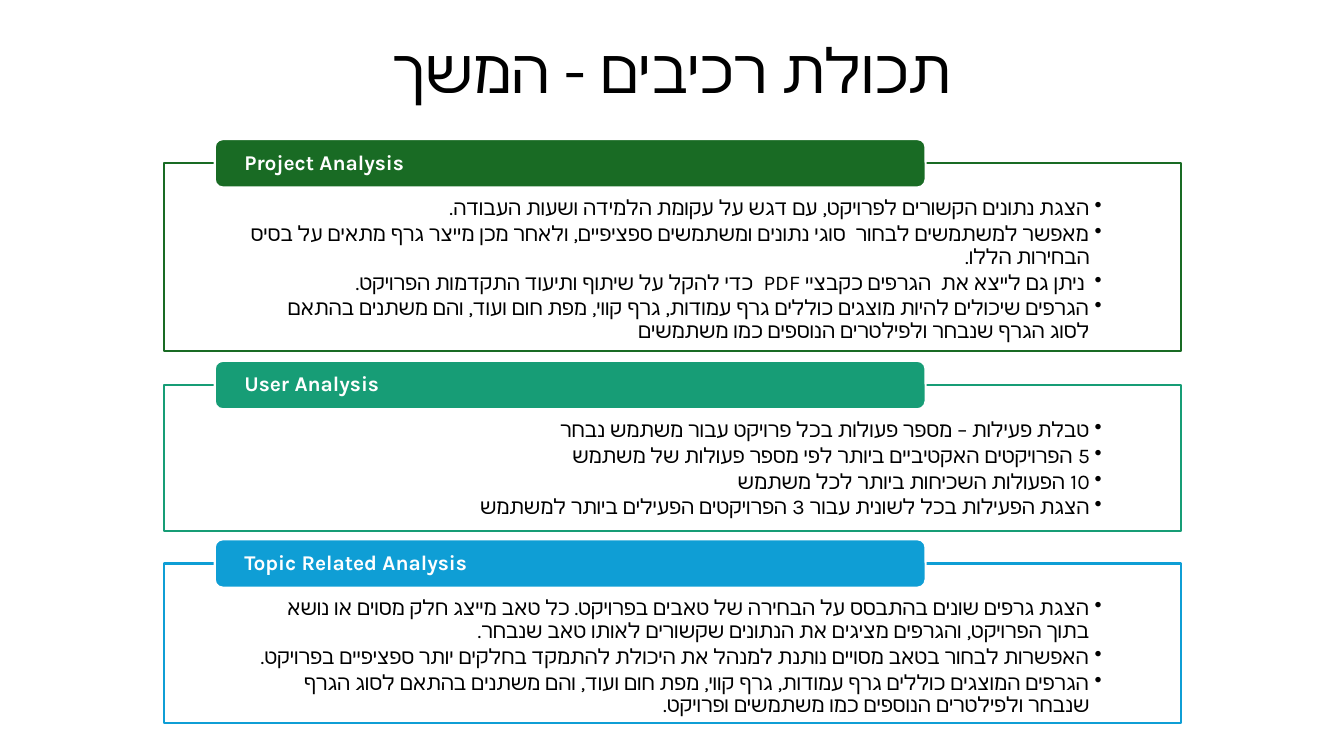
"""Build the slide describing the three analysis components."""
from dataclasses import dataclass

from lxml.etree import SubElement
from pptx import Presentation
from pptx.dml.color import RGBColor
from pptx.enum.shapes import MSO_SHAPE
from pptx.enum.text import MSO_ANCHOR, MSO_AUTO_SIZE, PP_ALIGN
from pptx.oxml.ns import qn
from pptx.util import Inches, Pt


@dataclass(frozen=True)
class Theme:
    font: str = "Karla"
    title_size: int = 44
    text_size: int = 15
    line_width: float = 1.5
    line_spacing: float = 0.9
    black: str = "000000"
    white: str = "FFFFFF"
    green: str = "196B24"
    teal: str = "179D76"
    blue: str = "0F9ED5"


@dataclass(frozen=True)
class Section:
    heading: str
    color: str
    top: float
    height: float
    bullets: tuple[str, ...]


THEME = Theme()
PANEL_LEFT, PANEL_WIDTH = 1.63, 10.08
HEADER_LEFT, HEADER_WIDTH, HEADER_HEIGHT, HEADER_RISE = 2.13, 7.05, 0.48, 0.24
BULLET_INDENT = 0.12

SECTIONS = (
    Section("Project Analysis", THEME.green, 1.62, 1.86, (
        "הצגת נתונים הקשורים לפרויקט, עם דגש על עקומת הלמידה ושעות העבודה. ",
        "מאפשר למשתמשים לבחור  סוגי נתונים ומשתמשים ספציפיים, ולאחר מכן מייצר גרף מתאים על בסיס הבחירות הללו.",
        " ניתן גם לייצא את  הגרפים כקבציי PDF  כדי להקל על שיתוף ותיעוד התקדמות הפרויקט.",
        "הגרפים שיכולים להיות מוצגים כוללים גרף עמודות, גרף קווי, מפת חום ועוד, והם משתנים בהתאם לסוג הגרף שנבחר ולפילטרים הנוספים כמו משתמשים",
    )),
    Section("User Analysis", THEME.teal, 3.82, 1.45, (
        "טבלת פעילות – מספר פעולות בכל פרויקט עבור משתמש נבחר",
        "5 הפרויקטים האקטיביים ביותר לפי מספר פעולות של משתמש",
        "10 הפעולות השכיחות ביותר לכל משתמש",
        "הצגת הפעילות בכל לשונית עבור 3 הפרויקטים הפעילים ביותר למשתמש",
    )),
    Section("Topic Related Analysis", THEME.blue, 5.59, 1.58, (
        "הצגת גרפים שונים בהתבסס על הבחירה של טאבים בפרויקט. כל טאב מייצג חלק מסוים או נושא בתוך הפרויקט, והגרפים מציגים את הנתונים שקשורים לאותו טאב שנבחר.",
        "האפשרות לבחור בטאב מסויים נותנת למנהל את היכולת להתמקד בחלקים יותר ספציפיים בפרויקט.",
        "הגרפים המוצגים כוללים גרף עמודות, גרף קווי, מפת חום ועוד, והם משתנים בהתאם לסוג הגרף שנבחר ולפילטרים הנוספים כמו משתמשים ופרויקט.",
    )),
)


def format_paragraph(p, size: int, color: str, align, bold: bool = False) -> None:
    """Apply the theme font and line spacing to a paragraph."""
    p.alignment = align
    p.line_spacing = THEME.line_spacing
    for r in p.runs:
        r.font.name = THEME.font
        r.font.size = Pt(size)
        r.font.bold = bold
        r.font.color.rgb = RGBColor.from_string(color)
        SubElement(r.font._element, qn("a:cs"), typeface=THEME.font)


def set_rtl(p, space_after: int, bullet: bool = False) -> None:
    """Make a paragraph right-to-left with percentage spacing and an optional bullet."""
    pPr = p._p.get_or_add_pPr()
    pPr.set("rtl", "1")
    spacing = SubElement(pPr, qn("a:spcAft"))
    SubElement(spacing, qn("a:spcPct"), val=str(space_after * 1000))
    if bullet:
        pPr.set("marL", str(Inches(BULLET_INDENT)))
        pPr.set("indent", str(-Inches(BULLET_INDENT)))
        SubElement(pPr, qn("a:buChar"), char="•")


def add_box(slide, kind, box: tuple, fill: str, line: str, insets: tuple, anchor):
    """Add a filled, outlined shape ready for text."""
    sp = slide.shapes.add_shape(kind, *map(Inches, box))
    sp.shadow.inherit = False
    sp.fill.solid()
    sp.fill.fore_color.rgb = RGBColor.from_string(fill)
    sp.line.color.rgb = RGBColor.from_string(line)
    sp.line.width = Pt(THEME.line_width)
    tf = sp.text_frame
    tf.word_wrap = True
    tf.vertical_anchor = anchor
    tf.margin_left, tf.margin_top, tf.margin_right, tf.margin_bottom = map(Inches, insets)
    return sp


def add_section(slide, section: Section) -> None:
    """Draw a bulleted panel with its heading bar."""
    panel = add_box(slide, MSO_SHAPE.RECTANGLE,
                    (PANEL_LEFT, section.top, PANEL_WIDTH, section.height),
                    THEME.white, section.color, (0.78, 0.34, 0.78, 0.12), MSO_ANCHOR.TOP)
    color = panel.fill._xPr.find(qn("a:solidFill"))[0]
    SubElement(color, qn("a:alpha"), val="90000")
    tf = panel.text_frame
    tf.text = "\n".join(section.bullets)
    for p in tf.paragraphs:
        p.level = 1
        format_paragraph(p, THEME.text_size, THEME.black, PP_ALIGN.RIGHT)
        set_rtl(p, 15, bullet=True)

    header = add_box(slide, MSO_SHAPE.ROUNDED_RECTANGLE,
                     (HEADER_LEFT, section.top - HEADER_RISE, HEADER_WIDTH, HEADER_HEIGHT),
                     section.color, THEME.white, (0.27, 0, 0.27, 0), MSO_ANCHOR.MIDDLE)
    header.text_frame.text = section.heading
    p = header.text_frame.paragraphs[0]
    format_paragraph(p, THEME.text_size, THEME.white, PP_ALIGN.LEFT, bold=True)
    set_rtl(p, 35)


def add_title(slide, text: str) -> None:
    """Place and format the slide title."""
    title = slide.shapes.title
    title.left, title.top, title.width, title.height = map(Inches, (3.79, 0, 5.75, 1.45))
    tf = title.text_frame
    tf.text = text
    tf.word_wrap = True
    tf.auto_size = MSO_AUTO_SIZE.NONE
    tf.vertical_anchor = MSO_ANCHOR.MIDDLE
    format_paragraph(tf.paragraphs[0], THEME.title_size, THEME.black, PP_ALIGN.CENTER)


def main() -> None:
    """Create and save the presentation."""
    prs = Presentation()
    prs.slide_width, prs.slide_height = Inches(13.33), Inches(7.5)
    slide = prs.slides.add_slide(prs.slide_layouts[5])
    add_title(slide, "תכולת רכיבים - המשך")
    for section in SECTIONS:
        add_section(slide, section)
    prs.save("out.pptx")


if __name__ == "__main__":
    main()
